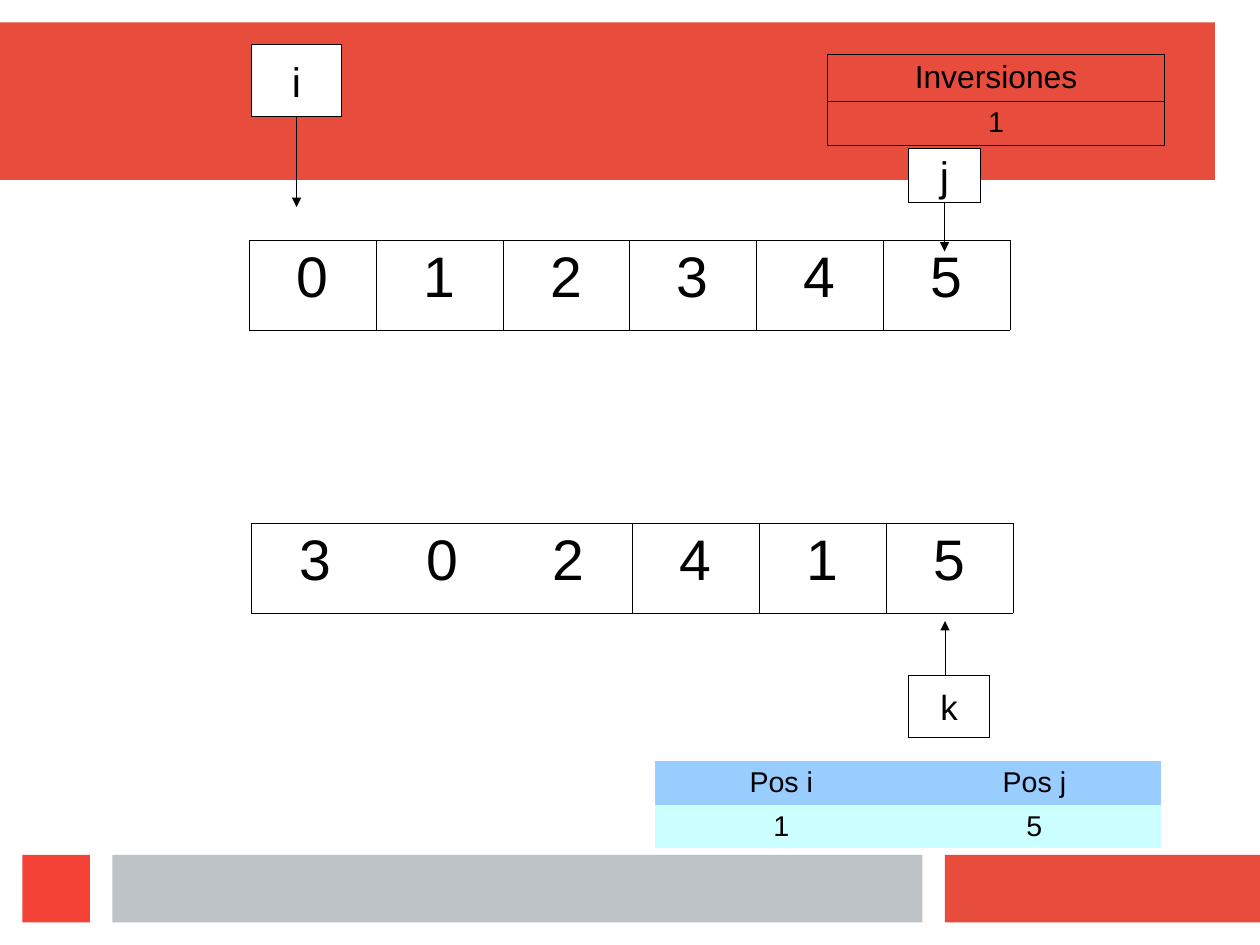
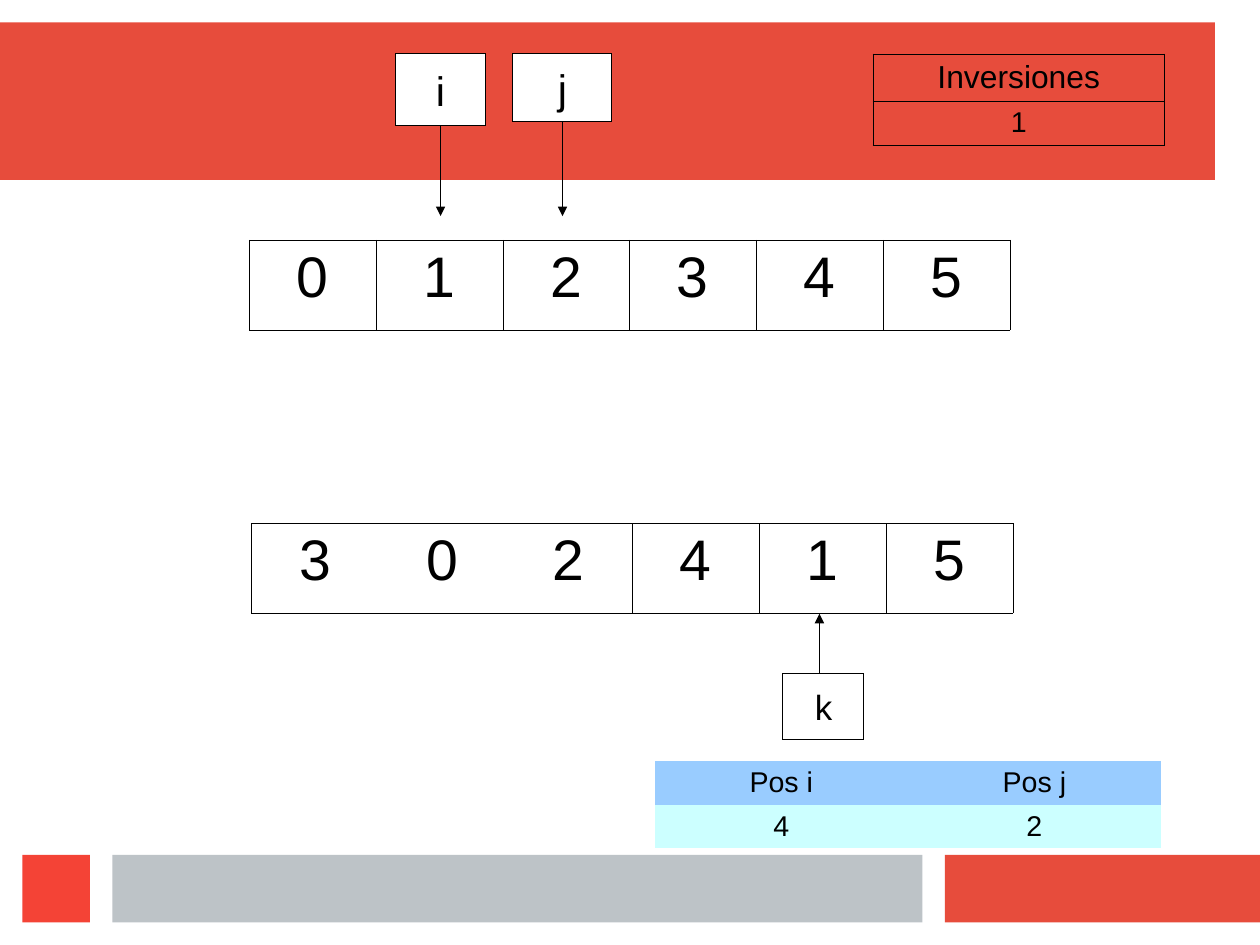
"""Builds two slides that trace the counting of inversions in an array."""
from lxml.etree import SubElement as Sub
from pptx import Presentation
from pptx.dml.color import RGBColor
from pptx.enum.shapes import MSO_CONNECTOR as Link, MSO_SHAPE as Form
from pptx.enum.text import MSO_ANCHOR as Anchor, PP_ALIGN as Align
from pptx.oxml.ns import qn
from pptx.util import Cm, Pt

RED = RGBColor(0xE7, 0x4C, 0x3C)
BRIGHT = RGBColor(0xF4, 0x43, 0x36)
GREY = RGBColor(0xBD, 0xC3, 0xC7)
BLACK = RGBColor(0, 0, 0)
WHITE = RGBColor(0xFF, 0xFF, 0xFF)
BLUE = RGBColor(0x99, 0xCC, 0xFF)
CYAN = RGBColor(0xCC, 0xFF, 0xFF)

FONT = "Arial"
BANDS = [
    (RED, 0, 0.5, 27, 3.5),
    (RED, 21, 19, 7, 1.5),
    (GREY, 2.5, 19, 18, 1.5),
    (BRIGHT, 0.5, 19, 1.5, 1.5),
]
HAIR, THIN = 0.06, 0.57
OPEN = ["LTB", "TB", "RTB"]
FULL = "LRTB"
TOTAL_TOP, TOTAL_END = 1.2, 25.88


def write(frame, text, size):
    para = frame.paragraphs[0]
    para.alignment = Align.CENTER
    run = para.add_run()
    run.text = text
    run.font.name = FONT
    run.font.size = Pt(size)
    run.font.color.rgb = BLACK


def add_rect(slide, fill, *area):
    rect = slide.shapes.add_shape(Form.RECTANGLE, *map(Cm, area))
    rect.shadow.inherit = False
    rect.fill.solid()
    rect.fill.fore_color.rgb = fill
    rect.line.fill.background()
    return rect


def add_bands(slide):
    for band in BANDS:
        add_rect(slide, *band)


def set_hair(shape):
    """Give a black hairline, writing the zero width that the theme would override."""
    shape.line.color.rgb = BLACK
    line = shape.element.spPr.find(qn("a:ln"))
    line.set("w", "0")
    return line


def add_mark(slide, name, size, area, tip, shift=0):
    """Draw a named box and its arrow; an arrow shifted off centre stays unjoined."""
    left, top, width, height = area
    box = add_rect(slide, WHITE, *area)
    set_hair(box)
    frame = box.text_frame
    frame.word_wrap = False
    frame.vertical_anchor = Anchor.MIDDLE
    write(frame, name, size)

    down = tip > top
    start = top + height if down else top
    mid = left + width / 2 + shift
    arrow = slide.shapes.add_connector(
        Link.STRAIGHT, Cm(mid), Cm(start), Cm(mid), Cm(tip))
    if not shift:
        arrow.begin_connect(box, 2 if down else 0)
    Sub(set_hair(arrow), qn("a:tailEnd"), type="triangle")
    Sub(arrow.element.spPr, qn("a:effectLst"))


def set_edges(cell, sides, width):
    props = cell._tc.get_or_add_tcPr()
    for side in FULL:
        edge = Sub(props, qn("a:ln" + side), w=str(Pt(width)))
        if side in sides:
            fill = Sub(edge, qn("a:solidFill"))
            Sub(fill, qn("a:srgbClr"), val=str(BLACK))
        else:
            Sub(edge, qn("a:noFill"))


def add_grid(slide, left, top, width, rows, highs, sizes,
             edges=None, weight=HAIR, fills=None):
    """Draw a table; edges lists the ruled sides by column, fills the row colours."""
    count = len(rows[0])
    grid = slide.shapes.add_table(
        len(rows), count, Cm(left), Cm(top), Cm(width), Cm(sum(highs))).table
    grid.first_row = grid.horz_banding = False
    edges = edges or [FULL] * count
    for r, texts in enumerate(rows):
        grid.rows[r].height = Cm(highs[r])
        for c, text in enumerate(texts):
            cell = grid.cell(r, c)
            set_edges(cell, edges[c], weight)
            if fills:
                cell.fill.solid()
                cell.fill.fore_color.rgb = fills[r]
            else:
                cell.fill.background()
            write(cell.text_frame, text, sizes[r])


def add_step(deck, marks, pair, total, wide):
    slide = deck.slides.add_slide(deck.slide_layouts[6])
    add_bands(slide)
    add_grid(slide, 5.54, 5.33, 16.9, ["012345"], [2], [36])
    add_grid(slide, 5.59, 11.63, 16.92, ["302415"], [2], [36],
             OPEN + [FULL] * 3)
    add_grid(slide, 14.55, 16.91, 11.25, [["Pos i", "Pos j"], pair],
             [0.97, 0.97], [18, 18], ["", ""], fills=[BLUE, CYAN])
    add_grid(slide, TOTAL_END - wide, TOTAL_TOP, wide,
             [["Inversiones"], [total]], [1.05, 0.97], [20, 18], weight=THIN)
    for mark in marks:
        add_mark(slide, *mark)


def main():
    deck = Presentation()
    deck.slide_width, deck.slide_height = Cm(28), Cm(21)
    add_step(deck, [
        ("i", 26, (5.59, 1, 2, 1.6), 4.6),
        ("j", 26, (20.19, 3.3, 1.6, 1.2), 5.59),
        ("k", 22, (20.19, 15.02, 1.8, 1.37), 13.8, -0.09),
    ], "15", "1", 7.49)
    add_step(deck, [
        ("i", 26, (8.79, 1.19, 2, 1.6), 4.8),
        ("j", 26, (11.4, 1.19, 2.2, 1.52), 4.8),
        ("k", 22, (17.4, 14.96, 1.8, 1.47), 13.64, -0.09),
    ], "42", "1", 6.48)
    deck.save("out.pptx")


if __name__ == "__main__":
    main()
